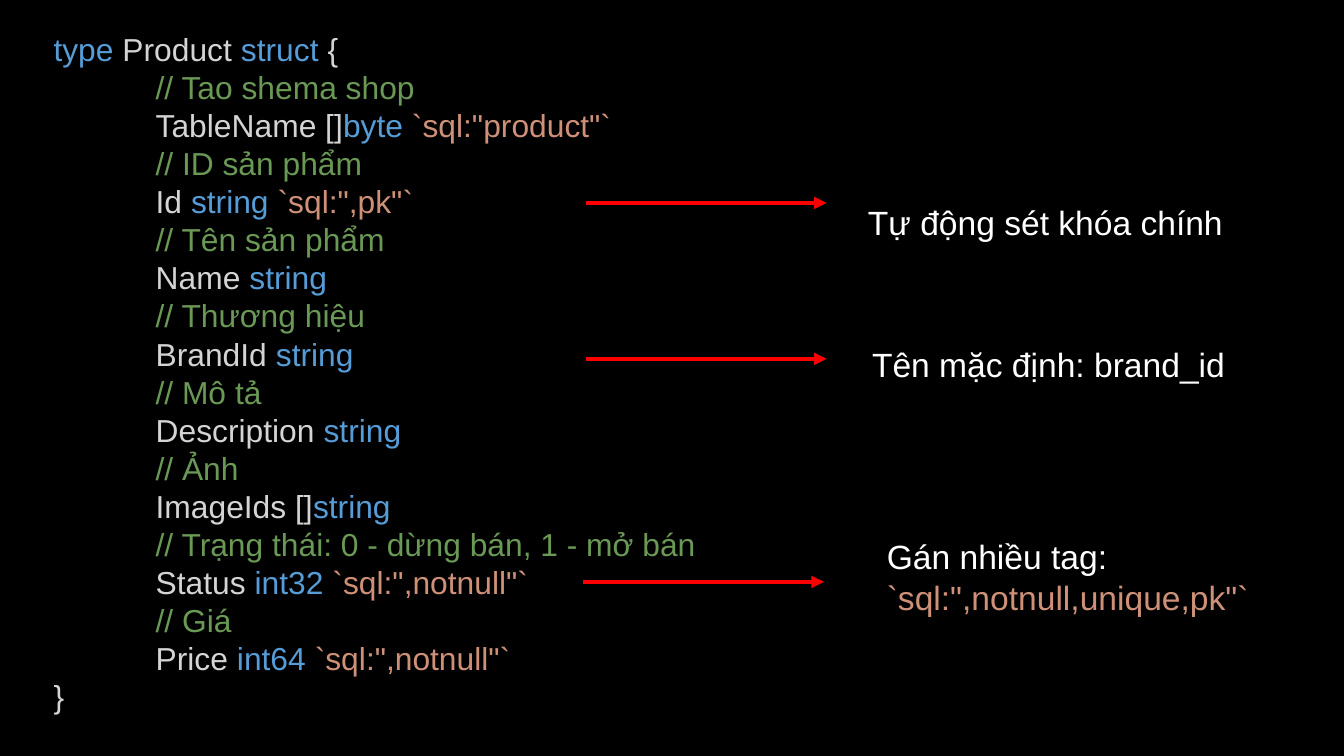
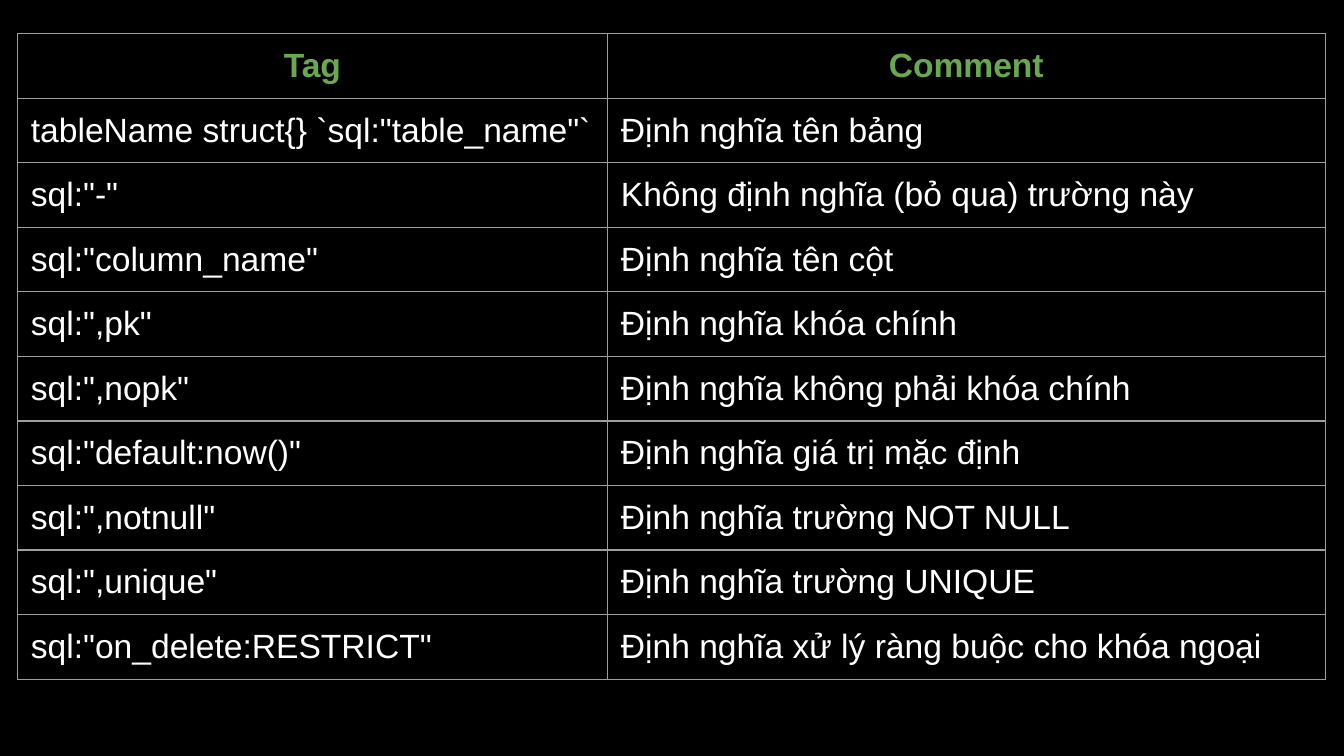
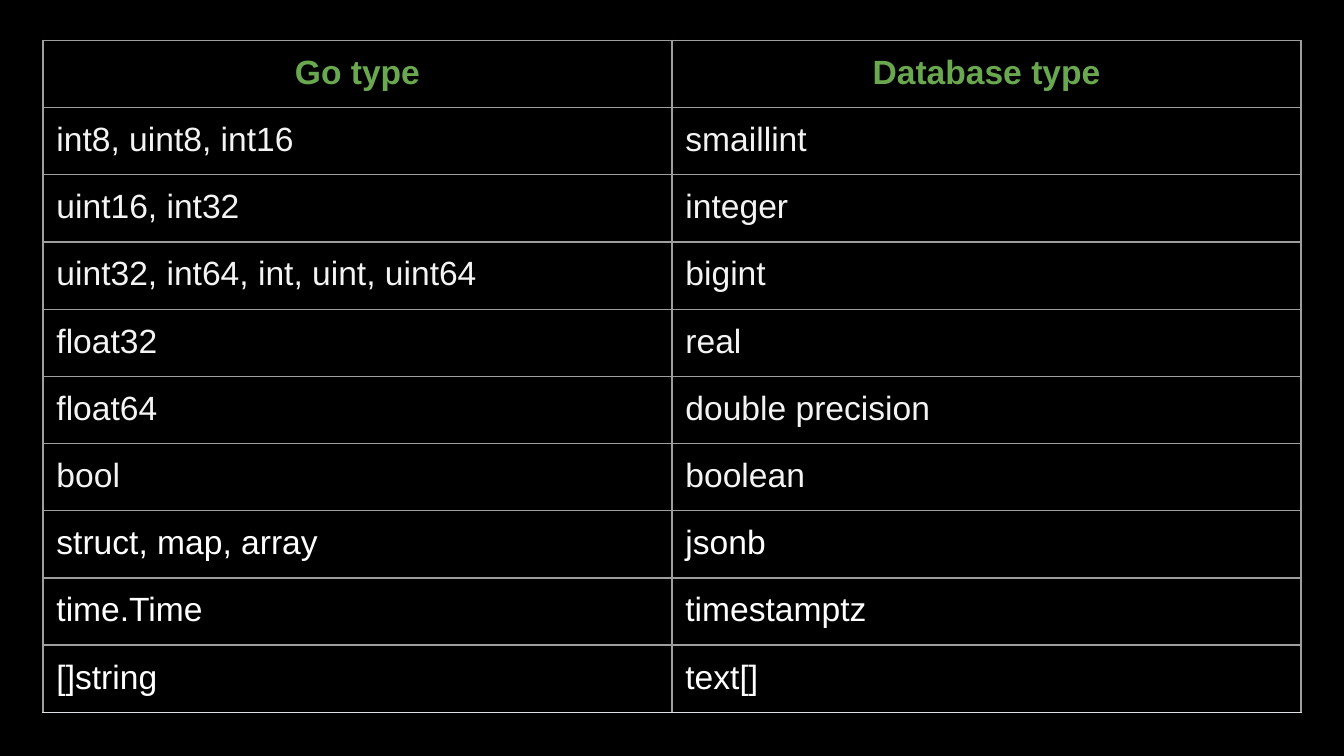
from dataclasses import dataclass
from typing import NamedTuple, Sequence

from lxml import etree
from pptx import Presentation
from pptx.dml.color import RGBColor
from pptx.enum.shapes import MSO_CONNECTOR as Connector
from pptx.enum.text import PP_ALIGN as Align
from pptx.oxml import parse_xml
from pptx.oxml.ns import nsdecls, qn
from pptx.util import Inches, Pt


@dataclass(frozen=True)
class Theme:
    font: str = "Arial"
    background: str = "000000"
    white: str = "FFFFFF"
    soft_white: str = "F3F3F3"
    header: str = "6AA84F"
    arrow: str = "FF0000"
    border: str = "9E9E9E"
    pale_border: str = "DFE2E5"
    plain: str = "D4D4D4"
    keyword: str = "569CD6"
    comment: str = "6A9955"
    tag: str = "CE9178"
    code_size: int = 17
    body_size: int = 18
    arrow_width: float = 2.25
    border_width: float = 0.75
    inset: float = 0.1
    line_spacing: float = 1.0
    loose_spacing: float = 1.5


THEME = Theme()


class Span(NamedTuple):
    text: str
    color: str


class Field(NamedTuple):
    comment: str
    name: str
    kind: str
    tag: str = ""


class Callout(NamedTuple):
    left: float
    top: float
    spacing: float
    lines: list[Span]


class Arrow(NamedTuple):
    left: float
    top: float


class Grid(NamedTuple):
    left: float
    top: float
    widths: tuple[float, ...]
    row_height: float
    rows: list[tuple[str, str]]
    soft_rows: int = 0
    bottom: str = THEME.border


# Shared drawing functions
def add_page(deck):
    page = deck.slides.add_slide(deck.slide_layouts[6])
    page.background.fill.solid()
    page.background.fill.fore_color.rgb = RGBColor.from_string(THEME.background)
    return page


def add_span(para, text: str, *, color: str, size: float = THEME.body_size,
             bold: bool = False) -> None:
    span = para.add_run()
    span.text = text
    span.font.name = THEME.font
    span.font.size = Pt(size)
    span.font.bold = bold
    span.font.color.rgb = RGBColor.from_string(color)


def add_text(page, left: float, top: float, width: float, height: float,
             lines: Sequence[Sequence[Span]], *, size: float = THEME.body_size,
             align: Align = Align.LEFT, spacing: float = THEME.line_spacing,
             indents: Sequence[float] = ()) -> None:
    box = page.shapes.add_textbox(Inches(left), Inches(top), Inches(width), Inches(height))
    frame = box.text_frame
    frame.word_wrap = True
    frame.margin_left = frame.margin_right = Inches(THEME.inset)
    frame.margin_top = frame.margin_bottom = Inches(THEME.inset)
    for index, spans in enumerate(lines):
        para = frame.add_paragraph() if index else frame.paragraphs[0]
        para.alignment = align
        para.line_spacing = spacing
        if indents and indents[index]:
            properties = para._p.get_or_add_pPr()
            properties.set("marL", str(Inches(indents[index])))
            properties.set("indent", "0")
        for text, color in spans:
            add_span(para, text, color=color, size=size)


def add_arrow(page, arrow: Arrow, length: float) -> None:
    y = Inches(arrow.top)
    line = page.shapes.add_connector(
        Connector.STRAIGHT, Inches(arrow.left), y, Inches(arrow.left + length), y)
    line.line.color.rgb = RGBColor.from_string(THEME.arrow)
    line.line.width = Pt(THEME.arrow_width)
    etree.SubElement(line.line._get_or_add_ln(), qn("a:tailEnd"), type="triangle")
    etree.SubElement(line._element.spPr, qn("a:effectLst"))


def set_borders(cell, bottom: str) -> None:
    properties = cell._tc.get_or_add_tcPr()
    for side in "LRTB":
        color = bottom if side == "B" else THEME.border
        properties.append(parse_xml(
            f'<a:ln{side} {nsdecls("a")} w="{Pt(THEME.border_width)}"><a:solidFill>'
            f'<a:srgbClr val="{color}"/></a:solidFill></a:ln{side}>'))


def add_grid(page, grid: Grid) -> None:
    count = len(grid.rows)
    table = page.shapes.add_table(
        count, len(grid.widths), Inches(grid.left), Inches(grid.top),
        Inches(sum(grid.widths)), Inches(grid.row_height * count)).table
    table.first_row = table.horz_banding = False
    for column, width in zip(table.columns, grid.widths):
        column.width = Inches(width)
    for index, texts in enumerate(grid.rows):
        table.rows[index].height = Inches(grid.row_height)
        is_header = index == 0
        body_color = THEME.soft_white if index <= grid.soft_rows else THEME.white
        for column_index, text in enumerate(texts):
            cell = table.cell(index, column_index)
            cell.margin_left = cell.margin_right = Inches(THEME.inset)
            cell.margin_top = cell.margin_bottom = Inches(THEME.inset)
            set_borders(cell, grid.bottom if index == count - 1 else THEME.border)
            cell.fill.background()
            para = cell.text_frame.paragraphs[0]
            para.alignment = Align.CENTER if is_header else Align.LEFT
            add_span(para, text, bold=is_header,
                     color=THEME.header if is_header else body_color)


# Content
FIELDS = [
    Field("Tao shema shop", "TableName []", "byte", '`sql:"product"`'),
    Field("ID sản phẩm", "Id ", "string", '`sql:",pk"`'),
    Field("Tên sản phẩm", "Name ", "string"),
    Field("Thương hiệu", "BrandId ", "string"),
    Field("Mô tả", "Description ", "string"),
    Field("Ảnh", "ImageIds []", "string"),
    Field("Trạng thái: 0 - dừng bán, 1 - mở bán", "Status ", "int32", '`sql:",notnull"`'),
    Field("Giá", "Price ", "int64", '`sql:",notnull"`'),
]

ARROWS = [Arrow(4.36, 1.51), Arrow(4.36, 2.67), Arrow(4.34, 4.33)]
ARROW_LENGTH = 1.79

CALLOUTS = [
    Callout(6.36, 1.25, THEME.loose_spacing, [Span("Tự động sét khóa chính", THEME.white)]),
    Callout(6.39, 2.31, THEME.loose_spacing, [Span("Tên mặc định: brand_id", THEME.white)]),
    Callout(6.5, 3.89, THEME.line_spacing, [
        Span("Gán nhiều tag:", THEME.white),
        Span('`sql:",notnull,unique,pk"`', THEME.tag)]),
]

TAG_GRID = Grid(0.13, 0.25, (4.39, 5.34), 0.46, [
    ("Tag", "Comment"),
    ('tableName struct{} `sql:"table_name"`', "Định nghĩa tên bảng"),
    ('sql:"-"', "Không định nghĩa (bỏ qua) trường này"),
    ('sql:"column_name"', "Định nghĩa tên cột"),
    ('sql:",pk"', "Định nghĩa khóa chính"),
    ('sql:",nopk"', "Định nghĩa không phải khóa chính"),
    ('sql:"default:now()"', "Định nghĩa giá trị mặc định"),
    ('sql:",notnull"', "Định nghĩa trường NOT NULL"),
    ('sql:",unique"', "Định nghĩa trường UNIQUE"),
    ('sql:"on_delete:RESTRICT"', "Định nghĩa xử lý ràng buộc cho khóa ngoại"),
])

TYPE_GRID = Grid(0.32, 0.3, (4.68, 4.68), 0.5, [
    ("Go type", "Database type"),
    ("int8, uint8, int16", "smaillint"),
    ("uint16, int32", "integer"),
    ("uint32, int64, int, uint, uint64", "bigint"),
    ("float32", "real"),
    ("float64", "double precision"),
    ("bool", "boolean"),
    ("struct, map, array", "jsonb"),
    ("time.Time", "timestamptz"),
    ("[]string", "text[]"),
], soft_rows=6, bottom=THEME.pale_border)


def struct_lines() -> list[list[Span]]:
    lines = [[Span("type", THEME.keyword), Span(" Product ", THEME.plain),
              Span("struct", THEME.keyword), Span(" {", THEME.plain)]]
    for field in FIELDS:
        lines.append([Span(f"// {field.comment}", THEME.comment)])
        member = [Span(field.name, THEME.plain), Span(field.kind, THEME.keyword)]
        if field.tag:
            member.append(Span(f" {field.tag}", THEME.tag))
        lines.append(member)
    lines.append([Span("}", THEME.plain)])
    return lines


# Slides
def build_struct_page(deck) -> None:
    page = add_page(deck)
    lines = struct_lines()
    indents = [0, *[0.76] * (len(lines) - 2), 0]
    add_text(page, 0.3, 0.12, 8.22, 3.28, lines, size=THEME.code_size, indents=indents)
    for arrow, callout in zip(ARROWS, CALLOUTS):
        add_arrow(page, arrow, ARROW_LENGTH)
        add_text(page, callout.left, callout.top, 3.01, 0.72,
                 [[span] for span in callout.lines],
                 align=Align.JUSTIFY, spacing=callout.spacing)


deck = Presentation()
deck.slide_width = Inches(10)
deck.slide_height = Inches(10 * 9 / 16)
build_struct_page(deck)
for grid in (TAG_GRID, TYPE_GRID):
    add_grid(add_page(deck), grid)
deck.save("out.pptx")
